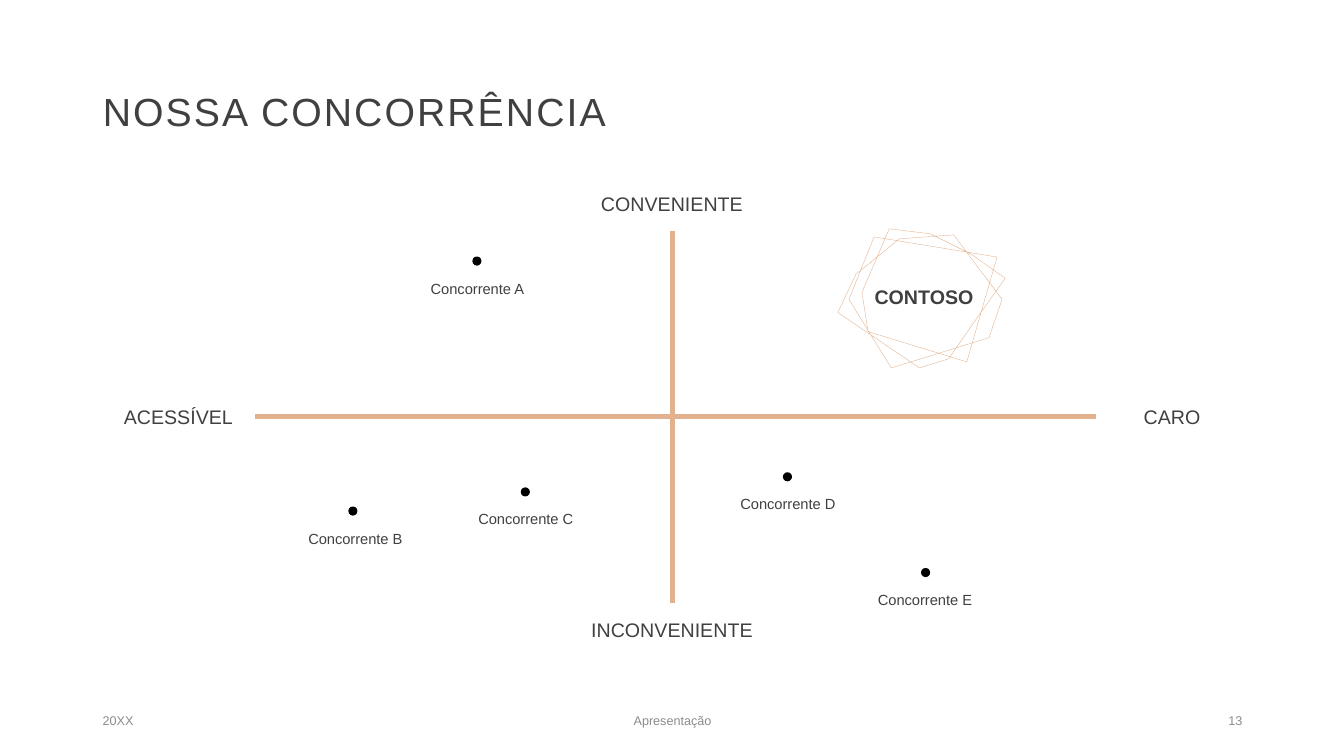
"""Build a competitor positioning slide with two axes and plotted competitors."""
from lxml import etree
from pptx import Presentation
from pptx.dml.color import RGBColor
from pptx.enum.shapes import MSO_CONNECTOR, MSO_SHAPE
from pptx.enum.text import MSO_ANCHOR, PP_ALIGN
from pptx.oxml.ns import qn
from pptx.util import Pt

PX = 9144
STRAIGHT = MSO_CONNECTOR.STRAIGHT
OVAL = MSO_SHAPE.OVAL
MIDDLE = MSO_ANCHOR.MIDDLE
LEFT, CENTER, RIGHT = PP_ALIGN.LEFT, PP_ALIGN.CENTER, PP_ALIGN.RIGHT

FONT = "Arial"
INK = RGBColor(0x40, 0x40, 0x40)
MUTED = RGBColor(0x8C, 0x8C, 0x8C)
SAND = RGBColor(0xE2, 0xB1, 0x8D)
BLACK = RGBColor(0, 0, 0)

TITLE = "NOSSA CONCORRÊNCIA"
TITLE_BOX = (92, 40, 1150, 145)
AXES = [(253, 413, 1087, 413), (667, 598, 667, 229)]
AXIS_LABELS = [
    ("CONVENIENTE", (573, 175, 187, 54)),
    ("INCONVENIENTE", (573, 598, 187, 54)),
    ("ACESSÍVEL", (101, 386, 152, 54)),
    ("CARO", (1087, 386, 151, 54)),
]
COMPETITORS = [
    ("Concorrente A", 473, 259, 409),
    ("Concorrente B", 350, 507, 288),
    ("Concorrente C", 521, 488, 457),
    ("Concorrente D", 781, 473, 717),
    ("Concorrente E", 918, 568, 853),
]
DOT = 8
NAME_WIDTH, NAME_HEIGHT = 129, 54
OUR_BRAND = ("CONTOSO", (823, 237, 187, 115))
BURST = [
    (892, 237), (854, 268), (849, 272), (831, 310), (912, 365), (941, 356),
    (968, 317), (997, 276), (963, 252), (923, 232), (882, 227), (855, 290),
    (861, 329), (959, 359), (989, 255), (867, 235), (842, 297), (884, 365),
    (981, 335), (994, 297), (946, 233),
]
FOOTER = [
    ("20XX", (92, 695, 300, 40), LEFT),
    ("Apresentação", (442, 695, 450, 40), CENTER),
    ("13", (942, 695, 300, 40), RIGHT),
]


def emu(lengths):
    return [length * PX for length in lengths]


def write(frame, wording, size, color, align, bold=False):
    frame.word_wrap = True
    frame.vertical_anchor = MIDDLE
    frame.text = wording
    paragraph = frame.paragraphs[0]
    paragraph.alignment = align
    run = paragraph.runs[0]
    run.font.name = FONT
    run.font.size = Pt(size)
    run.font.bold = bold
    run.font.color.rgb = color
    return paragraph


def add_label(shapes, wording, box, size, color=INK, align=CENTER, bold=False):
    label = shapes.add_textbox(*emu(box))
    return write(label.text_frame, wording, size, color, align, bold)


def add_axis(shapes, ends):
    axis = shapes.add_connector(STRAIGHT, *emu(ends))
    axis.line.color.rgb = SAND
    axis.line.width = Pt(3.5)
    etree.SubElement(axis._element.spPr, qn("a:effectLst"))


def add_competitor(shapes, name, x, y, name_left):
    dot = shapes.add_shape(OVAL, *emu((x - DOT // 2, y - DOT // 2, DOT, DOT)))
    dot.shadow.inherit = False
    dot.fill.solid()
    dot.fill.fore_color.rgb = BLACK
    dot.line.color.rgb = BLACK
    add_label(shapes, name, (name_left, y, NAME_WIDTH, NAME_HEIGHT), 10.5).space_before = Pt(10)


def add_burst(shapes):
    builder = shapes.build_freeform(*BURST[0], scale=PX)
    builder.add_line_segments(BURST[1:], close=True)
    burst = builder.convert_to_shape()
    burst.shadow.inherit = False
    burst.fill.background()
    burst.line.color.rgb = SAND
    burst.line.width = Pt(0.25)


def main():
    deck = Presentation()
    deck.slide_width, deck.slide_height = emu((1333, 750))
    slide = deck.slides.add_slide(deck.slide_layouts[5])
    shapes = slide.shapes

    title = shapes.title
    title.left, title.top, title.width, title.height = emu(TITLE_BOX)
    heading = write(title.text_frame, TITLE, 28, INK, LEFT)
    heading.line_spacing = 0.9
    heading.runs[0].font._element.set("spc", "150")

    for ends in AXES:
        add_axis(shapes, ends)
    for wording, box in AXIS_LABELS:
        add_label(shapes, wording, box, 14).space_before = Pt(10)
    for competitor in COMPETITORS:
        add_competitor(shapes, *competitor)
    add_label(shapes, *OUR_BRAND, 14, bold=True).space_before = Pt(10)
    add_burst(shapes)
    for wording, box, align in FOOTER:
        add_label(shapes, wording, box, 9, MUTED, align)

    deck.save("out.pptx")


if __name__ == "__main__":
    main()
